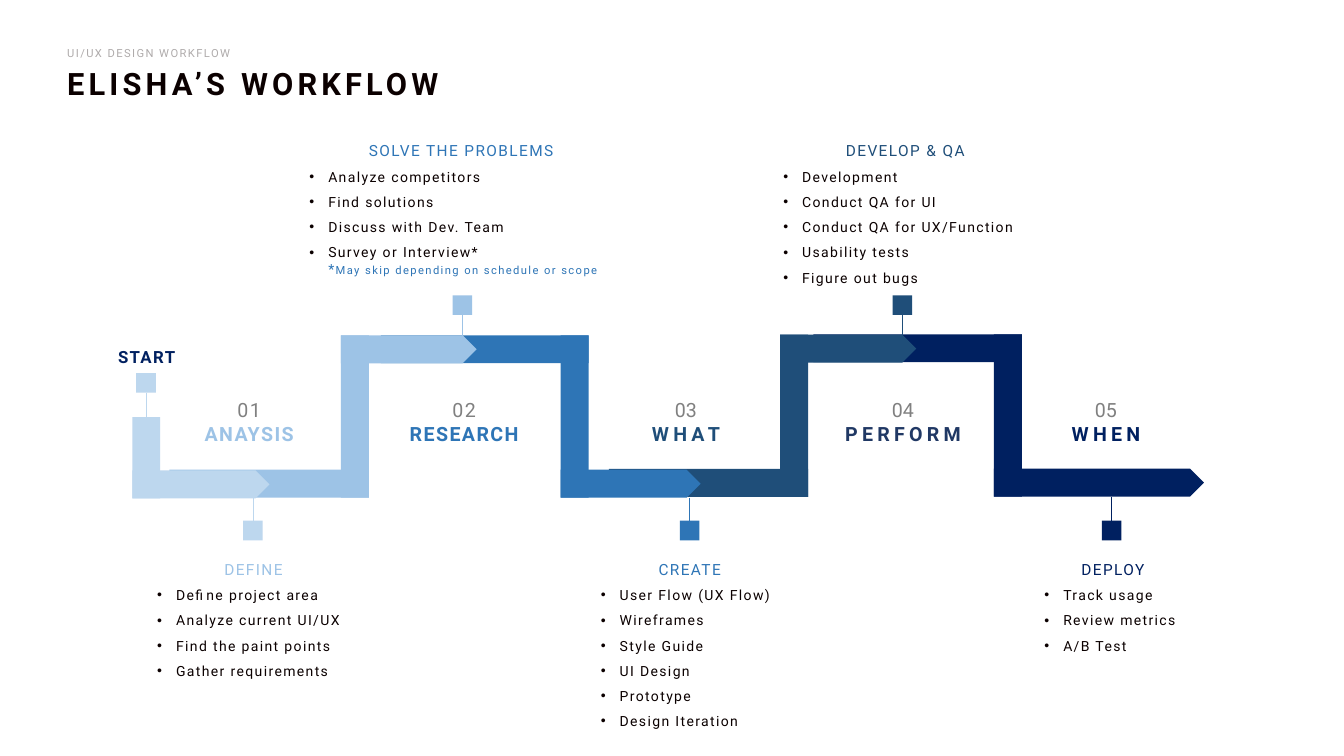
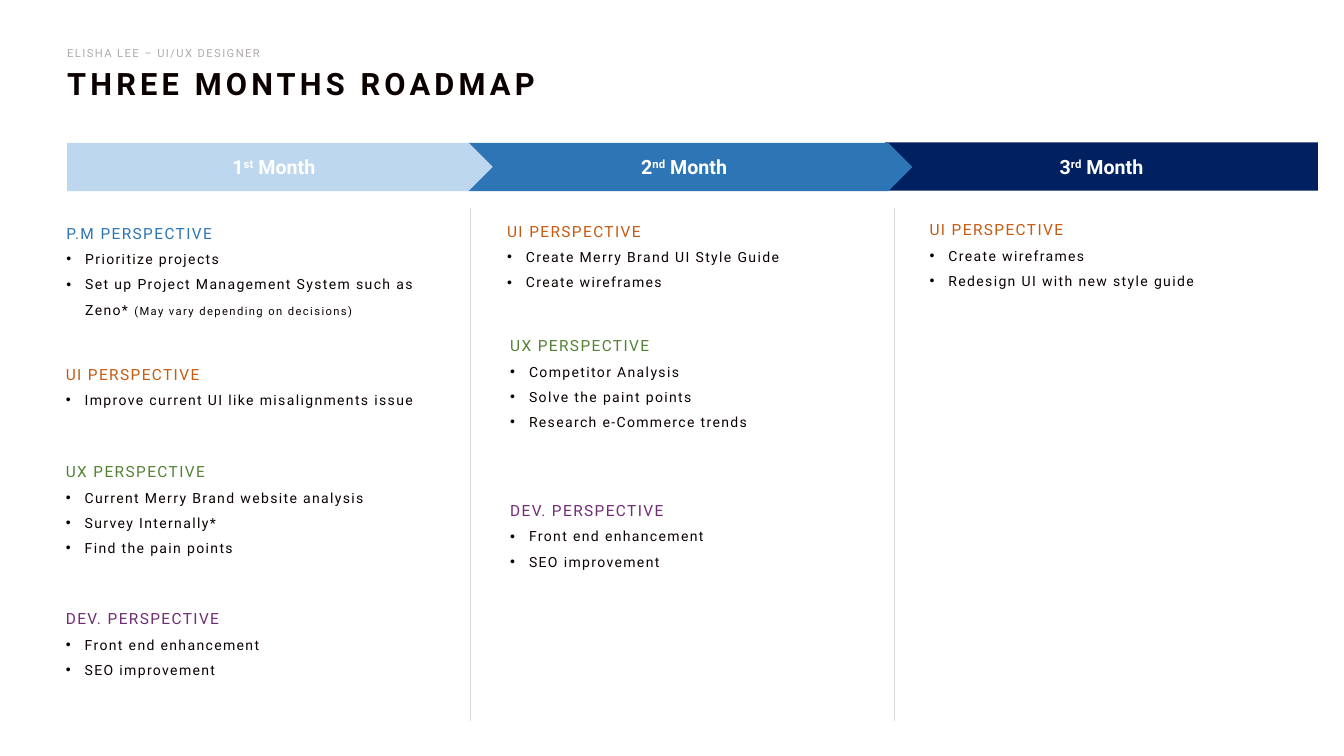
from dataclasses import dataclass

from lxml.etree import SubElement
from pptx import Presentation
from pptx.dml.color import RGBColor
from pptx.enum.shapes import MSO_CONNECTOR, MSO_SHAPE
from pptx.enum.text import MSO_ANCHOR, PP_ALIGN
from pptx.oxml.ns import qn
from pptx.util import Pt


@dataclass(frozen=True)
class Theme:
    font: str = "Roboto"
    ink: str = "0B0000"
    gray: str = "AFABAB"
    count: str = "808080"
    rule: str = "D9D9D9"
    white: str = "FFFFFF"
    pale: str = "BDD7EE"
    light: str = "9DC3E6"
    blue: str = "2E75B6"
    deep: str = "1F4E79"
    slate: str = "203864"
    navy: str = "002060"
    rust: str = "C55A11"
    green: str = "548235"
    plum: str = "712C76"
    title: int = 22
    stage: int = 14
    start: int = 12
    head: int = 11
    body: int = 10
    small: int = 8


T = Theme()
BAND = 20
RISE = 96
PIN = 14


class Deck:
    def __init__(self):
        self.show = Presentation()
        self.show.slide_width, self.show.slide_height = Pt(960), Pt(540)
        self.slide = None

    def page(self, title, kicker):
        self.slide = self.show.slides.add_slide(self.show.slide_layouts[6])
        frame = self.box(48, 46, 474, 27)
        self.run(frame.paragraphs[0], title, T.title, T.ink, True, 3)
        frame = self.box(48, 33, 300, 10)
        frame.vertical_anchor = MSO_ANCHOR.MIDDLE
        self.run(frame.paragraphs[0], kicker, T.small, T.gray)

    def box(self, x, y, w, h):
        frame = self.slide.shapes.add_textbox(Pt(x), Pt(y), Pt(w), Pt(h)).text_frame
        frame.word_wrap = True
        frame.margin_left = frame.margin_right = 0
        frame.margin_top = frame.margin_bottom = 0
        return frame

    def run(self, para, text, size, color, bold=False, gap=1, lift=0):
        run = para.add_run()
        run.text = text
        font = run.font
        font.name, font.size, font.bold = T.font, Pt(size), bold
        font.color.rgb = RGBColor.from_string(color)
        props = run._r.get_or_add_rPr()
        props.set("spc", str(gap * 100))
        if lift:
            props.set("baseline", str(lift * 1000))

    def block(self, kind, x, y, w, h, color):
        shape = self.slide.shapes.add_shape(kind, Pt(x), Pt(y), Pt(w), Pt(h))
        shape.shadow.inherit = False
        shape.fill.solid()
        shape.fill.fore_color.rgb = RGBColor.from_string(color)
        shape.line.fill.background()
        return shape

    def rect(self, *place):
        return self.block(MSO_SHAPE.RECTANGLE, *place)

    def arrow(self, *place):
        return self.block(MSO_SHAPE.PENTAGON, *place)

    def line(self, x, top, end, color):
        line = self.slide.shapes.add_connector(
            MSO_CONNECTOR.STRAIGHT, Pt(x), Pt(top), Pt(x), Pt(end))
        line.line.color.rgb = RGBColor.from_string(color)
        line.line.width = Pt(0.5)
        SubElement(line._element.spPr, qn("a:effectLst"))

    def bend(self, color, x, start, end, y, climbs):
        low = y + RISE
        tail, tip = (low, y) if climbs else (y, low)
        self.rect(start, tail, x + BAND - start, BAND, color)
        self.rect(x, y, BAND, RISE + BAND, color)
        self.arrow(x, tip, end - x, BAND, color)

    def pin(self, color, x, y, end):
        self.rect(x - PIN / 2, y, PIN, PIN, color)
        self.line(x, y + PIN if end > y else y, end, color)

    def stage(self, mid, count, name, color, gap):
        frame = self.box(mid - 60, 284.4, 120, 34)
        rows = ((count, T.count, False, 1 if gap == 1 else 0),
                (name, color, True, gap))
        for row, (text, tint, bold, space) in enumerate(rows):
            para = frame.add_paragraph() if row else frame.paragraphs[0]
            para.alignment = PP_ALIGN.CENTER
            self.run(para, text, T.stage, tint, bold, space)

    def list(self, x, y, w, head, color, items, align=PP_ALIGN.LEFT):
        frame = self.box(x, y, w, 18.2 * (len(items) + 1))
        para = frame.paragraphs[0]
        para.alignment = align
        para.line_spacing = 1.5
        self.run(para, head, T.head, color)
        for item in items:
            para = frame.add_paragraph()
            props = self.dent(para)
            props.set("indent", str(-Pt(13.5)))
            SubElement(props, qn("a:buFont")).set("typeface", "Arial")
            SubElement(props, qn("a:buChar")).set("char", "•")
            para.line_spacing = 1.5
            self.run(para, item, T.body, T.ink)
        return frame

    def dent(self, para):
        props = para._p.get_or_add_pPr()
        props.set("marL", str(Pt(13.5)))
        return props

    def month(self, shape, day, mark):
        frame = shape.text_frame
        frame.vertical_anchor = MSO_ANCHOR.MIDDLE
        para = frame.paragraphs[0]
        para.alignment = PP_ALIGN.CENTER
        for text, lift in ((day, 0), (mark, 30), (" Month", 0)):
            self.run(para, text, T.stage, T.white, True, 0, lift)


def workflow(deck):
    deck.page("ELISHA’S WORKFLOW", "UI/UX DESIGN WORKFLOW")

    for bend in (
        (T.navy, 710, 581, 860, 238.8, False),
        (T.deep, 557.3, 435, 654.5, 239, True),
        (T.blue, 400.5, 272, 500.5, 239.5, False),
        (T.light, 243.5, 121, 340.5, 239.5, True),
    ):
        deck.bend(*bend)
    deck.arrow(94.5, 336, 98, BAND, T.pale)
    deck.rect(94.5, 298, BAND, 58, T.pale)

    for pin in (
        (T.pale, 104.3, 266.5, 298),
        (T.pale, 180.7, 372, 356),
        (T.light, 330.3, 211, 240),
        (T.blue, 492.7, 372, 355.7),
        (T.deep, 644.6, 211, 239),
        (T.navy, 794, 372, 355),
    ):
        deck.pin(*pin)

    para = deck.box(64.8, 247.7, 80, 15).paragraphs[0]
    para.alignment = PP_ALIGN.CENTER
    deck.run(para, "START", T.start, T.navy, True)

    for stage in (
        (178, "01", "ANAYSIS", T.light, 1),
        (331.6, "02", "RESEARCH", T.blue, 1),
        (490, "03", "WHAT", T.deep, 3),
        (645, "04", "PERFORM", T.slate, 3),
        (790, "05", "WHEN", T.navy, 3),
    ):
        deck.stage(*stage)

    high, low = 94.3, 393.2
    solve = deck.list(
        221, high, 217, "SOLVE THE PROBLEMS", T.blue,
        ("Analyze competitors", "Find solutions", "Discuss with Dev. Team",
         "Survey or Interview*"), PP_ALIGN.CENTER)
    note = solve.add_paragraph()
    deck.dent(note).set("indent", "0")
    deck.run(note, "*", T.body, T.blue)
    deck.run(note, "May skip depending on schedule or scope", T.small, T.blue)

    for x, y, w, head, color, items in (
        (112.3, low, 137.5, "DEFINE", T.light,
         ("Define project area", "Analyze current UI/UX",
          "Find the paint points", "Gather requirements")),
        (429.2, low, 127, "CREATE", T.blue,
         ("User Flow (UX Flow)", "Wireframes", "Style Guide", "UI Design",
          "Prototype", "Design Iteration")),
        (559.5, high, 174.5, "DEVELOP & QA", T.deep,
         ("Development", "Conduct QA for UI", "Conduct QA for UX/Function",
          "Usability tests", "Figure out bugs")),
        (746, low, 98, "DEPLOY", T.navy,
         ("Track usage", "Review metrics", "A/B Test")),
    ):
        deck.list(x, y, w, head, color, items, PP_ALIGN.CENTER)


def roadmap(deck):
    deck.page("THREE MONTHS ROADMAP", "ELISHA LEE – UI/UX DESIGNER")

    for draw, x, y, w, color, day, mark in (
        (deck.rect, 632.3, 101.7, 309, T.navy, "3", "rd"),
        (deck.arrow, 334.2, 102, 317.5, T.blue, "2", "nd"),
        (deck.arrow, 48, 102, 304, T.pale, "1", "st"),
    ):
        deck.month(draw(x, y, w, 34.5, color), day, mark)
    for x in (336, 638.8):
        deck.line(x, 148.5, 515, T.rule)

    wide = 256
    plan = deck.list(
        47.4, 153.3, wide, "P.M PERSPECTIVE", T.blue,
        ("Prioritize projects",
         "Set up Project Management System such as Zeno* "))
    deck.run(plan.paragraphs[-1], "(May vary depending on decisions)",
             T.small, T.ink)

    growth = ("Front end enhancement", "SEO improvement")
    for x, y, view, color, items in (
        (47, 254, "UI", T.rust,
         ("Improve current UI like misalignments issue",)),
        (47, 323.5, "UX", T.green,
         ("Current Merry Brand website analysis", "Survey Internally*",
          "Find the pain points")),
        (47, 428.6, "DEV.", T.plum, growth),
        (362.2, 151.8, "UI", T.rust,
         ("Create Merry Brand UI Style Guide", "Create wireframes")),
        (364.4, 233.5, "UX", T.green,
         ("Competitor Analysis", "Solve the paint points",
          "Research e-Commerce trends")),
        (364.4, 351.2, "DEV.", T.plum, growth),
        (664, 150.8, "UI", T.rust,
         ("Create wireframes", "Redesign UI with new style guide")),
    ):
        deck.list(x, y, wide, view + " PERSPECTIVE", color, items)


def main():
    deck = Deck()
    workflow(deck)
    roadmap(deck)
    deck.show.save("out.pptx")


if __name__ == "__main__":
    main()
